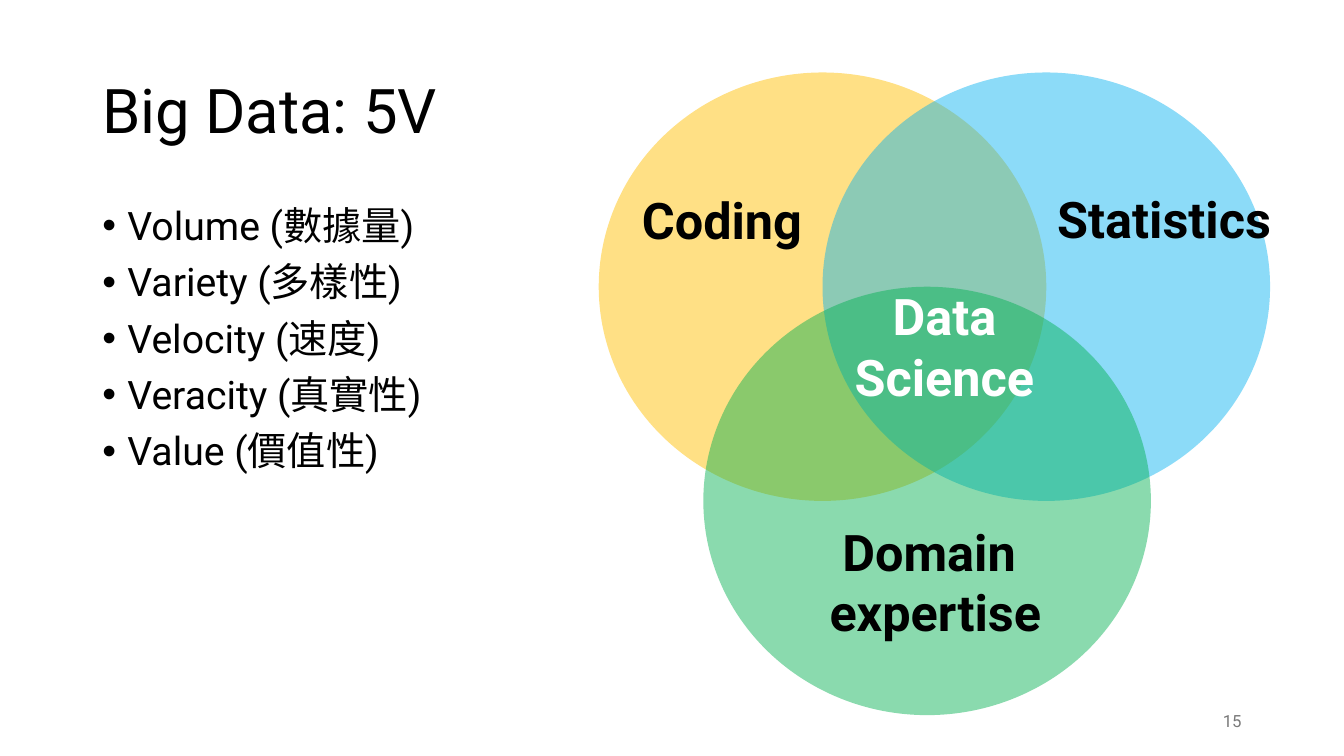
"""Build the Big Data 5V slide with its three-circle Venn diagram."""
from lxml.etree import SubElement
from pptx import Presentation
from pptx.dml.color import RGBColor
from pptx.enum.shapes import MSO_SHAPE
from pptx.enum.text import MSO_ANCHOR, PP_ALIGN
from pptx.oxml.ns import qn
from pptx.util import Pt

FONT = "Roboto"
BLACK = RGBColor(0, 0, 0)
WHITE = RGBColor(255, 255, 255)
GRAY = RGBColor(0x79, 0x79, 0x79)
GOLD = RGBColor(0xFF, 0xC0, 0x00)
BLUE = RGBColor(0x00, 0xB0, 0xF0)
GREEN = RGBColor(0x00, 0xB0, 0x50)

TITLE = "Big Data: 5V"
ITEMS = [
    "Volume (數據量)",
    "Variety (多樣性)",
    "Velocity (速度)",
    "Veracity (真實性)",
    "Value (價值性)",
]
WIDE, HIGH = 319.7, 306
LEFT, TOP = 427.7, 51.8
CIRCLES = [
    (LEFT, TOP, GOLD, 48),
    (LEFT + WIDE / 2, TOP, BLUE, 45),
    (502.4, TOP + HIGH / 2, GREEN, 46),
]
LABELS = [
    (["Coding"], (451.4, 131.7, 136, 51), BLACK, PP_ALIGN.LEFT),
    (["Statistics"], (748.1, 131, 176.4, 51), BLACK, PP_ALIGN.LEFT),
    (["Domain ", "expertise"], (576, 368.6, 184.3, 94.3), BLACK, PP_ALIGN.CENTER),
    (["Data", "Science"], (601.2, 200.2, 146.9, 94.3), WHITE, PP_ALIGN.CENTER),
]

deck = Presentation()
deck.slide_width, deck.slide_height = Pt(960), Pt(540)
slide = deck.slides.add_slide(deck.slide_layouts[6])


def write(lines, box, size, color=BLACK, bold=False, align=PP_ALIGN.LEFT,
          anchor=MSO_ANCHOR.TOP, pitch=1.0, gap=0, bullet=None):
    frame = slide.shapes.add_textbox(*map(Pt, box)).text_frame
    frame.word_wrap = True
    frame.vertical_anchor = anchor
    for row, line in enumerate(lines):
        para = frame.add_paragraph() if row else frame.paragraphs[0]
        para.alignment = align
        para.line_spacing = pitch
        para.space_before = Pt(gap if row else 0)
        if bullet:
            props = para._p.get_or_add_pPr()
            props.set("marL", str(Pt(18)))
            props.set("indent", str(-Pt(18)))
            SubElement(props, qn("a:buFont")).set("typeface", "Arial")
            SubElement(props, qn("a:buChar")).set("char", bullet)
        run = para.add_run()
        run.text = line
        run.font.name = FONT
        run.font.size = Pt(size)
        run.font.bold = bold
        run.font.color.rgb = color


def circle(left, top, color, alpha):
    shape = slide.shapes.add_shape(
        MSO_SHAPE.OVAL, Pt(left), Pt(top), Pt(WIDE), Pt(HIGH))
    shape.shadow.inherit = False
    shape.line.fill.background()
    shape.fill.solid()
    shape.fill.fore_color.rgb = color
    tint = shape._element.spPr.find(qn("a:solidFill"))[0]
    SubElement(tint, qn("a:alpha")).set("val", str(alpha * 1000))


write([TITLE], (66, 28.8, 828, 104.4), 44, anchor=MSO_ANCHOR.MIDDLE, pitch=0.9)
write(ITEMS, (66, 144, 270.7, 342.7), 28, pitch=0.9, gap=10, bullet="•")
for spec_row in CIRCLES:
    circle(*spec_row)
for lines, box, color, align in LABELS:
    write(lines, box, 36, color=color, bold=True, align=align)
write(["15"], (678, 500.5, 216, 28.8), 12, color=GRAY,
      align=PP_ALIGN.RIGHT, anchor=MSO_ANCHOR.MIDDLE)

deck.save("out.pptx")
